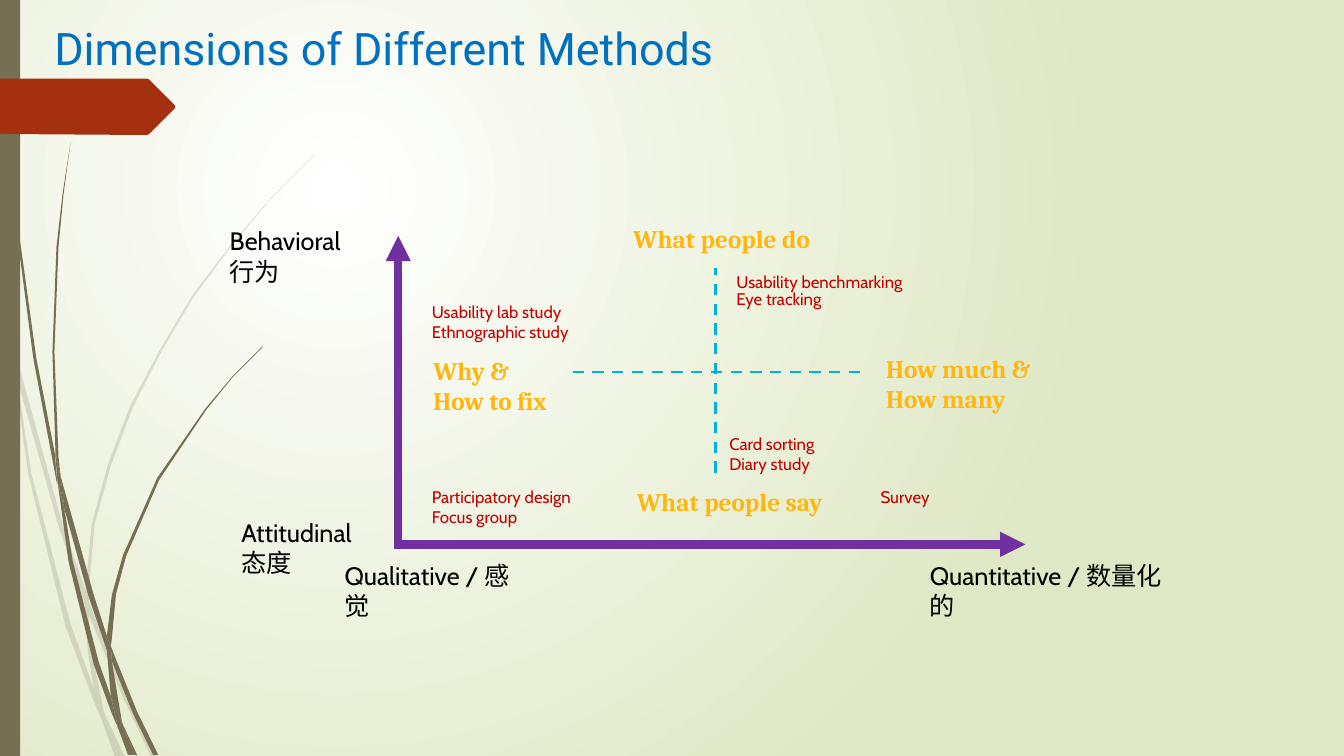
from lxml.etree import SubElement
from pptx import Presentation
from pptx.dml.color import RGBColor
from pptx.enum.dml import MSO_LINE
from pptx.enum.shapes import MSO_CONNECTOR, MSO_SHAPE
from pptx.oxml.ns import qn
from pptx.util import Inches, Pt

OLIVE = RGBColor(0x76, 0x6F, 0x54)
RUST = RGBColor(0xA5, 0x30, 0x10)
BLUE = RGBColor(0x00, 0x70, 0xC0)
PURPLE = RGBColor(0x70, 0x30, 0xA0)
CYAN = RGBColor(0x00, 0xB1, 0xDB)
GOLD = RGBColor(0xFF, 0xB7, 0x0F)
RED = RGBColor(0xC0, 0x00, 0x00)
BLACK = RGBColor(0x00, 0x00, 0x00)
WHITE = RGBColor(0xFF, 0xFF, 0xFF)
PALE_GREEN = RGBColor(0xDF, 0xE8, 0xC4)

CELL = Inches(0.1)
COLS, ROWS = 133.3, 75

FAINT_BLADES = [
    [(1.1, 35), (0.9, 32.2), (0, 28.2), (0, 29.9), (1, 34.4)],
    [(5.8, 52.2), (8.4, 59.9), (8.5, 58.6), (6.2, 52), (1.4, 34.5), (1.7, 37.6)],
    [(9.2, 60.7), (8.8, 59.6), (8.8, 61), (12.3, 69.4), (15, 75.1), (15.5, 75.1), (12.7, 69.2)],
    [(11.9, 75.1), (12.4, 75.1), (10.5, 71.1)],
    [(9.3, 68.3), (7, 61.9), (3.1, 46.9), (1.7, 37.6), (1.1, 35), (2.8, 47), (6.5, 62.1),
     (9.2, 69.3), (10.1, 71.4), (9.9, 70.7)],
    [(8.4, 59.9), (8.7, 64.6), (9.3, 68.3), (9.6, 69.2), (10.5, 71.1), (10.3, 70.6),
     (9.1, 64.6), (8.8, 61), (8.8, 60.8)],
    [(8.8, 58.4), (9.4, 52), (11, 46.2), (13.2, 40.4), (16, 34.9), (19.2, 29.5), (22.9, 24.5),
     (26.8, 19.8), (31.2, 15.4), (31.2, 15.3), (26.8, 19.7), (22.8, 24.4), (19, 29.4),
     (15.8, 34.8), (12.9, 40.3), (10.7, 46.1), (9.1, 52), (8.5, 58.4), (8.5, 58.6), (8.8, 59.6)],
    [(10.1, 71.4), (11.4, 75.1), (11.9, 75.1)],
    [(8.8, 60.8), (8.8, 61), (8.8, 59.6), (8.5, 58.6), (8.4, 59.9)],
    [(9.6, 69.2), (9.3, 68.3), (9.9, 70.7), (10.1, 71.4), (11.9, 75.1), (10.5, 71.1)],
]
DARK_BLADES = [
    [(0.7, 11), (1.7, 23.3), (3.3, 35.5), (5.6, 47.7), (5.7, 48.1), (5.5, 45.7), (5.5, 45.3),
     (3.6, 35.5), (1.9, 23.2), (0.8, 10.9), (0.5, 4.8), (0.4, 0), (0.3, 0), (0.4, 4.8)],
    [(8.8, 59.2), (10.6, 64.5), (10.6, 63.1), (9.3, 59), (6, 47.2), (6.4, 50.5)],
    [(11.3, 64.9), (11, 64.1), (11.1, 65.6), (13.2, 70.8), (15.2, 74.9), (15.7, 74.9), (13.6, 70.6)],
    [(11, 69.1), (9.8, 65.7), (7.2, 55.6), (6.4, 50.5), (5.7, 47.7), (6.8, 55.7), (9.3, 65.9),
     (11.1, 70.8), (11.7, 72.2), (11.6, 71.7)],
    [(6, 47.2), (5.8, 45.3), (5.4, 34.9), (5.8, 24.5), (6.3, 19.3), (7, 14.1), (6.2, 19.3),
     (5.6, 24.5), (5.2, 34.9), (5.5, 44.9)],
    [(13.3, 74.9), (13.6, 74.9), (12.2, 71.9)],
    [(5.7, 47.7), (6.4, 50.5), (6, 47.2), (5.5, 44.9), (5.5, 45.3)],
    [(11.1, 63.3), (11.5, 59), (12.5, 55.2), (15.8, 47.6), (20.5, 40.6), (23.1, 37.4),
     (26.1, 34.4), (26, 34.4), (23.1, 37.3), (20.4, 40.5), (15.6, 47.4), (12.2, 55.1),
     (11.1, 59), (10.6, 63.1), (11, 64.1)],
    [(11.7, 72.2), (12.7, 74.9), (13.1, 74.9)],
    [(10.6, 64.5), (11, 69.1), (11.6, 70.6), (12.2, 71.9), (12.1, 71.6), (11.1, 65.6), (10.9, 65.1)],
    [(10.6, 64.5), (10.9, 65.1), (11.1, 65.6), (11, 64.1), (10.6, 63.1)],
    [(11.6, 70.6), (11, 69.1), (11.6, 71.7), (11.7, 72.2), (13, 74.9), (13.3, 74.9), (12.2, 71.9)],
]
TAG = [(17.3, 10.8), (14.8, 13.3), (14.6, 13.4), (0, 13.3), (0, 7.8), (14.6, 7.8),
       (14.8, 7.9), (17.3, 10.4), (17.4, 10.6)]

LABELS = [
    (21.8, 21.9, 13.9, ["Behavioral", "行为"]),
    (22.95, 50.8, 13.1, ["Attitudinal", "态度"]),
    (33.2, 55.1, 20.5, ["Qualitative / 感觉"]),
    (91.25, 55.1, 27.3, ["Quantitative / 数量化的"]),
]
SIDE_QUESTIONS = [
    (42, 34.75, 14, ["Why & How to fix"]),
    (86.9, 34.55, 18.3, ["How much & How many"]),
]
END_QUESTIONS = [
    (62.2, 47.8, 24.1, ["What people say"]),
    (61.85, 21.7, 21.4, ["What people do"]),
]
METHODS = [
    (41.85, 29.4, 16.4, ["Usability lab study", "Ethnographic study"]),
    (41.85, 47.8, 16.7, ["Participatory design", "Focus group"]),
    (86.35, 47.8, 7.2, ["Survey"]),
    (72.05, 26.45, 19.3, ["Usability benchmarking"]),
    (72.05, 28.2, 11.3, ["Eye tracking"]),
    (71.35, 42.5, 11.2, ["Card sorting", "Diary study"]),
]


def cells(*values):
    return [round(v * CELL) for v in values]


def paint_background(s):
    fill = s.background.fill
    fill.gradient()
    for stop, color, position in zip(fill.gradient_stops, (WHITE, PALE_GREEN), (0, 1)):
        stop.color.rgb = color
        stop.position = position
    grad = s.element.find(".//" + qn("a:gradFill"))
    grad.remove(grad.find(qn("a:lin")))
    radial = SubElement(grad, qn("a:path"), {"path": "circle"})
    SubElement(radial, qn("a:fillToRect"), l="50000", t="50000", r="100000", b="100000")


def fill_plain(sp, color, alpha=None):
    sp.shadow.inherit = False
    sp.line.fill.background()
    sp.fill.solid()
    sp.fill.fore_color.rgb = color
    if alpha:
        rgb = sp.element.spPr.find(qn("a:solidFill")).find(qn("a:srgbClr"))
        SubElement(rgb, qn("a:alpha"), val=str(alpha * 1000))


def add_outline(s, corners, color, alpha=None):
    points = [cells(*corner) for corner in corners]
    builder = s.shapes.build_freeform(*points[0])
    builder.add_line_segments(points[1:])
    fill_plain(builder.convert_to_shape(), color, alpha)


def add_rule(s, ends, color, width, dash=None, arrow=False):
    line = s.shapes.add_connector(MSO_CONNECTOR.STRAIGHT, *cells(*ends))
    line.line.color.rgb = color
    line.line.width = Pt(width)
    if dash:
        line.line.dash_style = dash
    if arrow:
        ln = line.element.spPr.find(qn("a:ln"))
        SubElement(ln, qn("a:tailEnd"), type="triangle")
    SubElement(line.element.spPr, qn("a:effectLst"))


def add_text(s, left, top, width, lines, *, size, font, color, bold=False, indent=0, rows=None):
    height = 1 + (rows or len(lines)) * size / 6
    tf = s.shapes.add_textbox(*cells(left, top, width, height)).text_frame
    tf.word_wrap = True
    for i, text in enumerate(lines):
        p = tf.paragraphs[0] if i == 0 else tf.add_paragraph()
        if indent:
            p._p.get_or_add_pPr().set("marL", str(cells(indent)[0]))
        r = p.add_run()
        r.text = text
        r.font.size = Pt(size)
        r.font.name = font
        r.font.bold = bold
        r.font.color.rgb = color


def main():
    prs = Presentation()
    prs.slide_width, prs.slide_height = cells(COLS, ROWS)
    s = prs.slides.add_slide(prs.slide_layouts[6])
    paint_background(s)

    for blade in FAINT_BLADES:
        add_outline(s, blade, OLIVE, alpha=20)
    for blade in DARK_BLADES:
        add_outline(s, blade, OLIVE)
    bar = s.shapes.add_shape(MSO_SHAPE.RECTANGLE, *cells(0, 0, 2, ROWS))
    fill_plain(bar, OLIVE)
    add_outline(s, TAG, RUST)

    add_text(s, 0, 1.55, 100, ["Dimensions of Different Methods"],
             size=32, font="Roboto", color=BLUE, indent=4.4, rows=1.5)

    for ends in ((39.5, 54, 39.5, 23.4), (39.1, 54, 101.7, 54)):
        add_rule(s, ends, PURPLE, 6, arrow=True)
    for ends in ((56.8, 36.9, 86, 36.9), (71, 46.9, 71, 26.6)):
        add_rule(s, ends, CYAN, 2, dash=MSO_LINE.DASH)

    for rows, questions in ((2, SIDE_QUESTIONS), (1, END_QUESTIONS)):
        for question in questions:
            add_text(s, *question, size=18, font="Cambria", color=GOLD, bold=True, rows=rows)
    for label in LABELS:
        add_text(s, *label, size=18, font="Cabin", color=BLACK)
    for method in METHODS:
        add_text(s, *method, size=12, font="Cabin", color=RED)

    prs.save("out.pptx")


if __name__ == "__main__":
    main()
